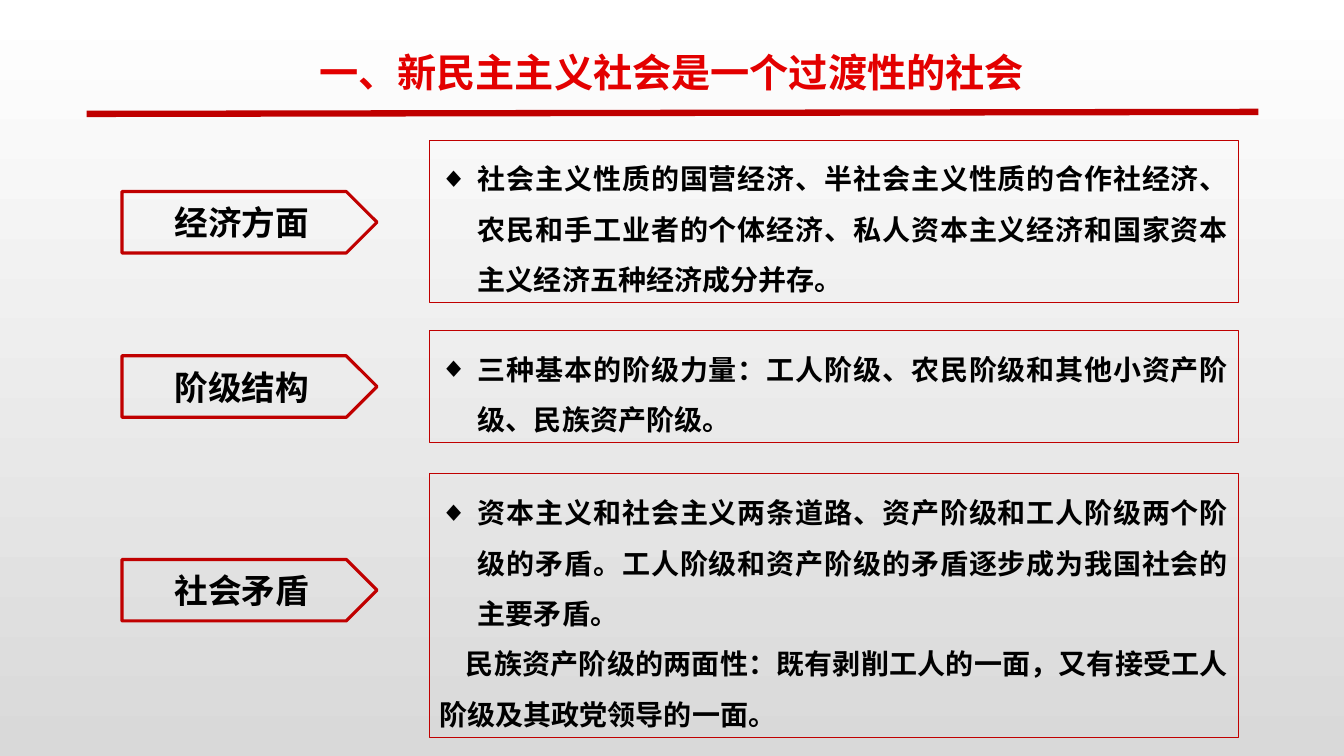
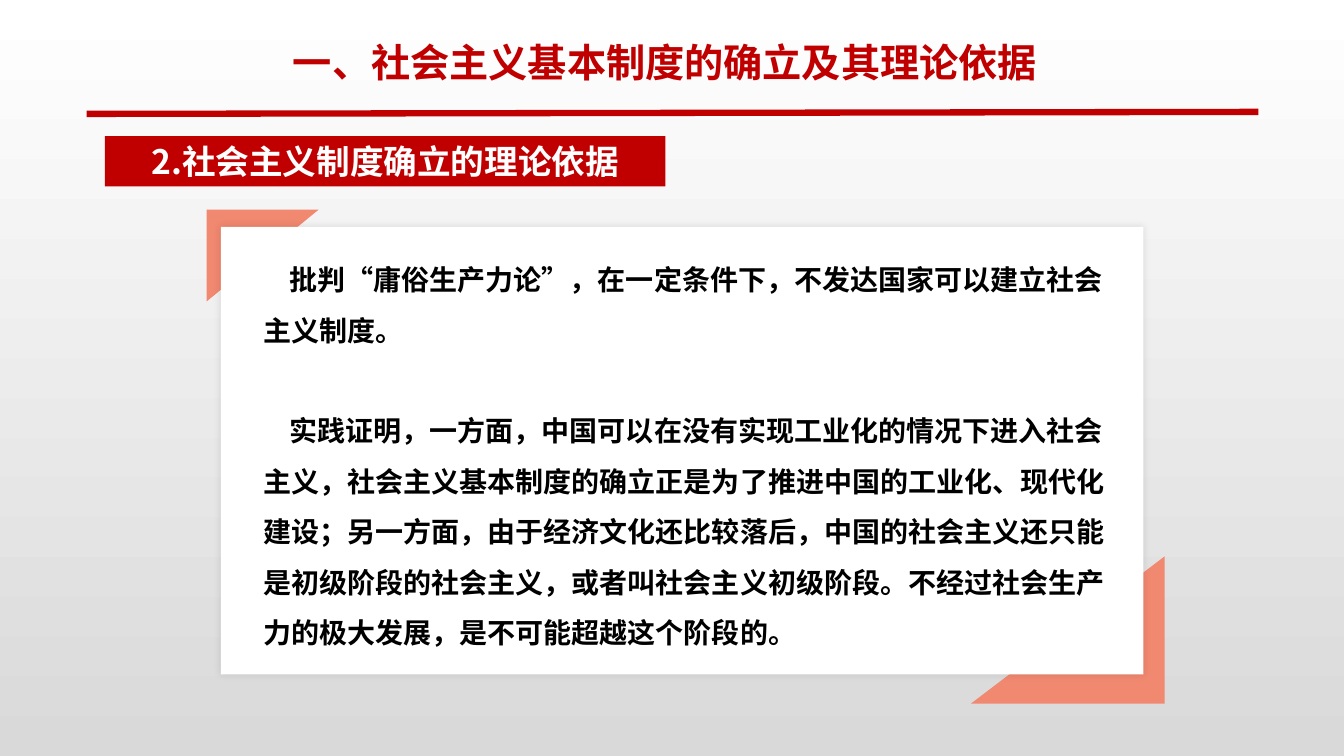
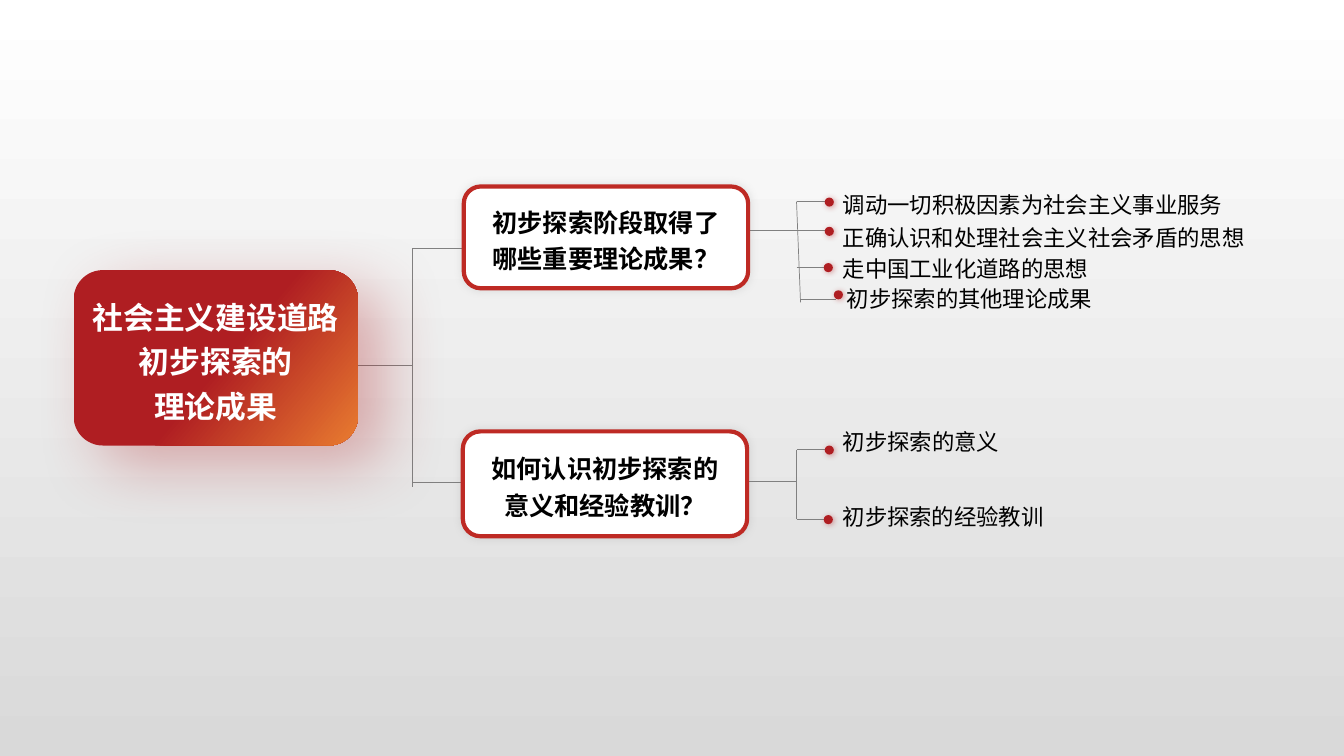
from lxml.etree import SubElement
from pptx import Presentation
from pptx.dml.color import RGBColor
from pptx.enum.shapes import MSO_CONNECTOR, MSO_SHAPE
from pptx.enum.text import MSO_ANCHOR, MSO_AUTO_SIZE, PP_ALIGN
from pptx.oxml.ns import qn
from pptx.util import Inches, Pt

RED = RGBColor(0xC0, 0x00, 0x00)
BRIGHT = RGBColor(0xE3, 0x00, 0x00)
CRIMSON = RGBColor(0xAF, 0x1E, 0x22)
EDGE = RGBColor(0xBE, 0x2A, 0x24)
ORANGE = RGBColor(0xE9, 0x7C, 0x30)
CORAL = RGBColor(0xF1, 0x88, 0x70)
GRAY = RGBColor(0x80, 0x80, 0x80)
SILVER = RGBColor(0xD9, 0xD9, 0xD9)
WHITE = RGBColor(0xFF, 0xFF, 0xFF)
BLACK = RGBColor(0x00, 0x00, 0x00)
FONT = "Noto Sans CJK SC"
SERIF = "Times New Roman"


class Deck:
    """Shared style and element methods for the current slide."""

    def __init__(self):
        self.prs = Presentation()
        self.prs.slide_width = Inches(13.33)
        self.prs.slide_height = Inches(7.5)
        self.fade(self.prs.slide_master.background.fill, (0, WHITE), (1, SILVER), 90)

    def new(self, layout):
        self.slide = self.prs.slides.add_slide(self.prs.slide_layouts[layout])
        self.shapes = self.slide.shapes
        self.free = [p for p in self.slide.placeholders if p.placeholder_format.idx]

    def clean(self):
        for spare in self.free:
            self.shapes._spTree.remove(spare._element)

    def fade(self, fill, start, end, turn):
        fill.gradient()
        fill.gradient_angle = 360 - turn
        for stop, (pos, color) in zip(fill.gradient_stops, (start, end)):
            stop.position = pos
            stop.color.rgb = color

    def move(self, shape, box):
        shape.left, shape.top, shape.width, shape.height = map(Inches, box)
        self.shapes._spTree.append(shape._element)

    def label(self, shape, lines, size, color, bold=True, align=PP_ALIGN.CENTER,
              pitch=1.0, anchor=MSO_ANCHOR.MIDDLE, kinds=None, lead=0, fonts=None):
        frame = shape.text_frame
        frame.word_wrap = True
        frame.auto_size = MSO_AUTO_SIZE.NONE
        frame.vertical_anchor = anchor
        frame.text = "\n".join(lines)
        count = len(lines)
        kinds = kinds or ["plain"] * count
        fonts = fonts or [FONT] * count
        for row, (para, kind, face) in enumerate(zip(frame.paragraphs, kinds, fonts)):
            para.alignment = align
            para.line_spacing = pitch
            para.space_before = Pt(lead if row else 0)
            self.mark(para, kind)
            font = para.font
            font.size, font.bold, font.name = Pt(size), bold, face
            font.color.rgb = color
            SubElement(font._rPr, qn("a:ea")).set("typeface", FONT)

    def mark(self, para, kind):
        left, first = {"plain": (0, 0), "prose": (0, 0.26), "list": (0.38, -0.38)}[kind]
        props = para._p.get_or_add_pPr()
        props.set("marL", str(Inches(left)))
        props.set("indent", str(Inches(first)))
        if kind == "list":
            SubElement(props, qn("a:buChar")).set("char", "◆")
        else:
            SubElement(props, qn("a:buNone"))

    def title(self, text, box, color, pitch=1.0):
        shape = self.shapes.title
        self.move(shape, box)
        self.label(shape, [text], 28, color, pitch=pitch, anchor=MSO_ANCHOR.TOP)
        self.line(0.86, 1.13, 12.48, 1.11, RED, 4.5)

    def body(self, lines, box, kinds, align, edge=None, **style):
        shape = self.free.pop(0)
        self.move(shape, box)
        if edge is not None:
            shape.line.color.rgb = edge
            shape.line.width = Pt(0.75)
        self.label(shape, lines, 20, BLACK, align=align, pitch=1.5,
                   anchor=MSO_ANCHOR.TOP, kinds=kinds, **style)

    def shape(self, kind, box, fill=None, edge=None, width=1, glow=None):
        shape = self.shapes.add_shape(kind, *map(Inches, box))
        shape.shadow.inherit = False
        if fill is None:
            shape.fill.background()
        else:
            shape.fill.solid()
            shape.fill.fore_color.rgb = fill
        if edge is None:
            shape.line.fill.background()
        else:
            shape.line.color.rgb = edge
            shape.line.width = Pt(width)
        if glow:
            self.glow(shape, *glow)
        return shape

    def glow(self, shape, color, alpha, blur, dist, turn):
        effects = shape._element.spPr.find(qn("a:effectLst"))
        outer = SubElement(effects, qn("a:outerShdw"), blurRad=str(Pt(blur)),
                           dist=str(Pt(dist)), dir=str(turn * 60000),
                           algn="ctr", rotWithShape="0")
        tint = SubElement(outer, qn("a:srgbClr"), val=str(color))
        SubElement(tint, qn("a:alpha"), val=str(alpha * 1000))

    def line(self, x1, y1, x2, y2, color=GRAY, width=0.5):
        line = self.shapes.add_connector(MSO_CONNECTOR.STRAIGHT,
                                         *map(Inches, (x1, y1, x2, y2)))
        line.line.color.rgb = color
        line.line.width = Pt(width)
        SubElement(line._element.spPr, qn("a:effectLst"))

    def arrow(self, text, top):
        shape = self.shape(MSO_SHAPE.PENTAGON, (1.21, top, 2.53, 0.61), None, RED, 2.25)
        self.label(shape, [text], 24, BLACK)

    def corner(self, x, y, w, h, turn):
        shift = (w - h) / 2
        shape = self.shape(MSO_SHAPE.RIGHT_TRIANGLE, (x + shift, y - shift, h, w), CORAL)
        shape.rotation = turn

    def node(self, lines, box):
        shape = self.shape(MSO_SHAPE.ROUNDED_RECTANGLE, box, WHITE, EDGE, 3,
                           (GRAY, 20, 6, 0, 315))
        self.label(shape, lines, 18, BLACK, pitch=1.2)

    def leaf(self, text, x, y, dot, level):
        self.shape(MSO_SHAPE.OVAL, (dot, level - 0.04, 0.09, 0.09), CRIMSON,
                   glow=(CRIMSON, 40, 4, 1, 45))
        wide = 0.23 * len(text) + 0.2
        box = self.shapes.add_textbox(*map(Inches, (x, y, wide, 0.37)))
        self.label(box, [text], 16, BLACK, False, PP_ALIGN.LEFT, anchor=MSO_ANCHOR.TOP)


def society(deck):
    deck.new(4)
    deck.title("一、新民主主义社会是一个过渡性的社会", (1.05, 0.2, 11.22, 0.81), BRIGHT, 1.5)
    rows = [
        ("经济方面", 1.9, 1.39, 1.61, [
            "社会主义性质的国营经济、半社会主义性质的合作社经济、农民和手工业者的个体经济、"
            "私人资本主义经济和国家资本主义经济五种经济成分并存。"]),
        ("阶级结构", 3.53, 3.28, 1.11, [
            "三种基本的阶级力量：工人阶级、农民阶级和其他小资产阶级、民族资产阶级。"]),
        ("社会矛盾", 5.55, 4.7, 2.62, [
            "资本主义和社会主义两条道路、资产阶级和工人阶级两个阶级的矛盾。"
            "工人阶级和资产阶级的矛盾逐步成为我国社会的主要矛盾。",
            "民族资产阶级的两面性：既有剥削工人的一面，又有接受工人阶级及其政党领导的一面。"]),
    ]
    for name, mid, top, high, lines in rows:
        deck.body(lines, (4.26, top, 8.02, high), ["list", "prose"], PP_ALIGN.JUSTIFY, RED)
        deck.arrow(name, mid)
    deck.clean()


def theory(deck):
    deck.new(1)
    deck.title("一、社会主义基本制度的确立及其理论依据", (2.67, 0.33, 7.85, 0.57), RED)
    deck.corner(2.05, 2.08, 1.11, 0.91, 90)
    deck.corner(9.63, 5.52, 1.92, 1.46, 270)
    deck.shape(MSO_SHAPE.RECTANGLE, (2.19, 2.25, 9.15, 4.44), WHITE,
               glow=(BLACK, 10, 5, 0, 0))
    deck.body([
        "批判“庸俗生产力论”，在一定条件下，不发达国家可以建立社会主义制度。",
        "实践证明，一方面，中国可以在没有实现工业化的情况下进入社会主义，"
        "社会主义基本制度的确立正是为了推进中国的工业化、现代化建设；"
        "另一方面，由于经济文化还比较落后，中国的社会主义还只能是初级阶段的社会主义，"
        "或者叫社会主义初级阶段。不经过社会生产力的极大发展，是不可能超越这个阶段的。",
    ], (2.51, 2.39, 8.68, 4.64), ["prose"] * 2, PP_ALIGN.LEFT, lead=36, fonts=[FONT, SERIF])
    band = deck.shape(MSO_SHAPE.RECTANGLE, (1.04, 1.35, 5.56, 0.5), RED)
    deck.label(band, ["2.社会主义制度确立的理论依据"], 24, WHITE)


def results(deck):
    deck.new(6)
    lines = [
        (3.32, 3.62, 4.09, 3.62), (4.09, 4.83, 4.09, 2.47),
        (4.09, 2.46, 4.69, 2.46), (4.09, 4.79, 4.68, 4.79),
        (7.35, 2.29, 7.9, 2.29), (7.94, 3, 7.9, 2),
        (7.33, 4.78, 7.9, 4.78), (7.9, 5.15, 7.9, 4.46),
    ]
    leaves = [
        ("调动一切积极因素为社会主义事业服务", 8.26, 1.85, 8.18, 2),
        ("正确认识和处理社会主义社会矛盾的思想", 8.26, 2.17, 8.18, 2.29),
        ("走中国工业化道路的思想", 8.26, 2.48, 8.17, 2.65),
        ("初步探索的其他理论成果", 8.3, 2.78, 8.27, 2.92),
        ("初步探索的意义", 8.26, 4.2, 8.18, 4.46),
        ("初步探索的经验教训", 8.26, 4.94, 8.17, 5.15),
    ]
    twigs = [(7.9, 2), (7.9, 2.29), (7.9, 2.65), (7.94, 2.97), (7.9, 4.46), (7.9, 5.15)]
    for ends in lines + [(x, y, x + 0.35, y) for x, y in twigs]:
        deck.line(*ends)
    root = deck.shape(MSO_SHAPE.ROUNDED_RECTANGLE, (0.73, 2.68, 2.82, 1.74), CRIMSON,
                      glow=(CRIMSON, 33, 46, 23, 35))
    deck.fade(root.fill, (0.52, CRIMSON), (1, ORANGE), 40)
    deck.label(root, ["社会主义建设道路", "初步探索的", "理论成果"], 22, WHITE, pitch=1.2)
    deck.node(["初步探索阶段取得了", "哪些重要理论成果？"], (4.6, 1.85, 2.82, 1.01))
    deck.node(["如何认识初步探索的", "意义和经验教训？"], (4.59, 4.28, 2.82, 1.04))
    for leaf in leaves:
        deck.leaf(*leaf)


def main():
    deck = Deck()
    society(deck)
    theory(deck)
    results(deck)
    deck.prs.save("out.pptx")


if __name__ == "__main__":
    main()
